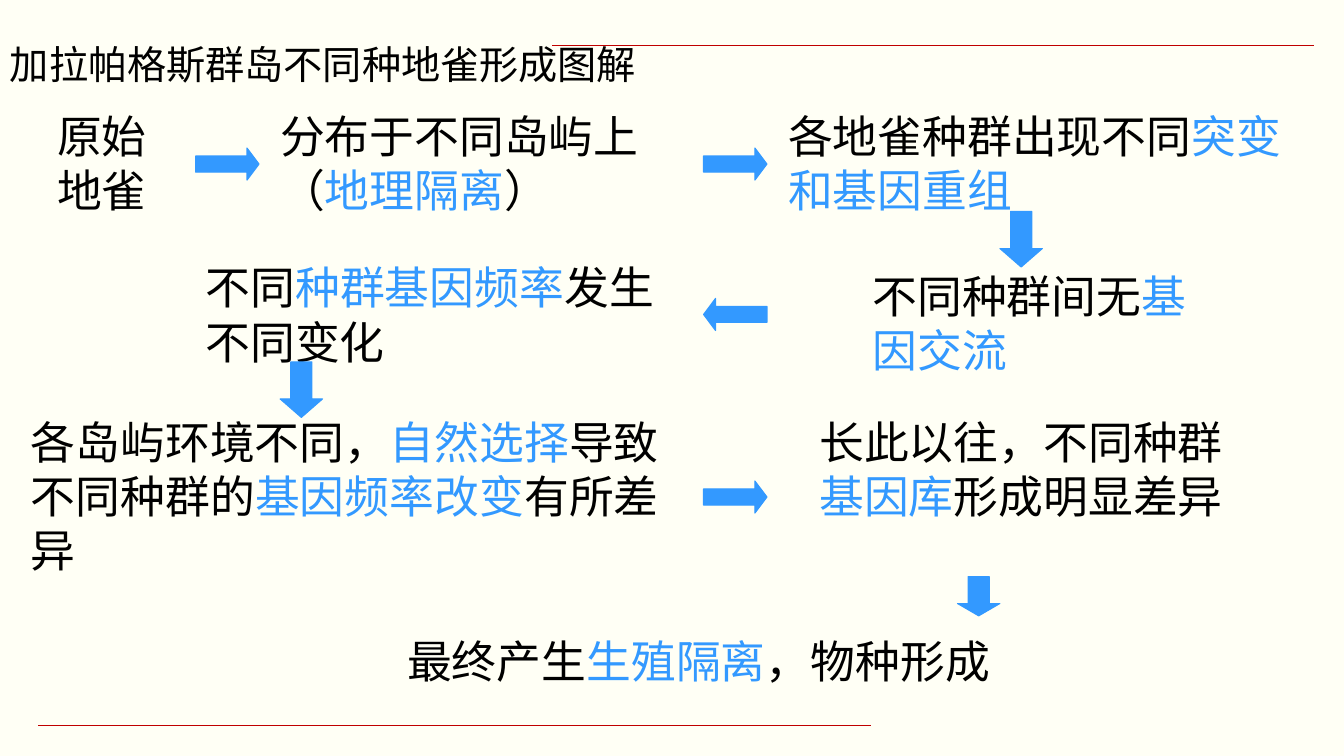
"""Flow chart slide on how the Galápagos ground finch species formed."""
from lxml.etree import SubElement
from pptx import Presentation
from pptx.dml.color import RGBColor
from pptx.enum.shapes import MSO_CONNECTOR, MSO_SHAPE
from pptx.oxml.ns import qn
from pptx.util import Cm, Pt

FONT = "Noto Sans CJK SC"
BLACK = RGBColor(0x00, 0x00, 0x00)
BLUE = RGBColor(0x33, 0x99, 0xFF)
RED = RGBColor(0xC0, 0x00, 0x00)
CREAM = RGBColor(0xFF, 0xFF, 0xF5)

TITLE = ("加拉帕格斯群岛不同种地雀形成图解",)
TITLE_BOX = (0, 0.91, 31.24, 1.96)

# Each stage: left, top, width, line count, then alternating plain and key wording.
STAGES = [
    (1.19, 2.51, 3.73, 2, ("原始地雀",)),
    (6.81, 2.51, 11.46, 2, ("分布于不同岛屿上（", "地理隔离", "）")),
    (19.61, 2.51, 13.34, 2, ("各地雀种群出现不同", "突变和基因重组")),
    (21.74, 6.53, 9.32, 2, ("不同种群间无", "基因交流")),
    (4.93, 6.32, 11.99, 2, ("不同", "种群基因频率", "发生不同变化")),
    (0.53, 10.21, 16.94, 3,
     ("各岛屿环境不同，", "自然选择", "导致不同种群的", "基因频率改变", "有所差异")),
    (20.4, 10.21, 10.95, 2, ("长此以往，不同种群", "基因库", "形成明显差异")),
    (10.01, 15.72, 21.06, 1, ("最终产生", "生殖隔离", "，物种形成")),
]

ACROSS = (1.6, 0.81, 0.375)
DOWN = (1.07, 1.4, 0.435)
SHORT_DOWN = (1.07, 0.99, 0.314)
ARROWS = [
    (MSO_SHAPE.RIGHT_ARROW, 4.93, 3.73, ACROSS),
    (MSO_SHAPE.RIGHT_ARROW, 17.73, 3.73, ACROSS),
    (MSO_SHAPE.DOWN_ARROW, 25.2, 5.33, DOWN),
    (MSO_SHAPE.LEFT_ARROW, 17.73, 7.52, ACROSS),
    (MSO_SHAPE.DOWN_ARROW, 7.06, 9.12, DOWN),
    (MSO_SHAPE.RIGHT_ARROW, 17.73, 12.12, ACROSS),
    (MSO_SHAPE.DOWN_ARROW, 24.13, 14.53, SHORT_DOWN),
]

RULES = [(13.92, 33.12, 1.14), (0.97, 21.95, 18.29)]


def add_wording(slide, box, parts, size, pitch):
    frame = slide.shapes.add_textbox(*map(Cm, box)).text_frame
    frame.word_wrap = True
    frame.margin_top = Cm(0.23)
    paragraph = frame.paragraphs[0]
    paragraph.line_spacing = Pt(pitch)
    font = paragraph.font
    font.size = Pt(size)
    font.color.rgb = BLACK
    font.name = FONT
    SubElement(font._rPr, qn("a:ea"), typeface=FONT)
    for index, part in enumerate(parts):
        run = paragraph.add_run()
        run.text = part
        if index % 2:
            run.font.color.rgb = BLUE


def add_arrow(slide, direction, left, top, form):
    width, height, head = form
    arrow = slide.shapes.add_shape(direction, Cm(left), Cm(top), Cm(width), Cm(height))
    arrow.shadow.inherit = False
    arrow.adjustments[0] = 0.5
    arrow.adjustments[1] = head
    arrow.fill.solid()
    arrow.fill.fore_color.rgb = BLUE
    arrow.line.color.rgb = BLUE
    arrow.line.width = Pt(0.75)


def add_rule(slide, start, end, y):
    rule = slide.shapes.add_connector(
        MSO_CONNECTOR.STRAIGHT, Cm(start), Cm(y), Cm(end), Cm(y))
    rule.line.color.rgb = RED
    rule.line.width = Pt(0.5)
    SubElement(rule._element.spPr, qn("a:effectLst"))


def main():
    deck = Presentation()
    deck.slide_width, deck.slide_height = Cm(33.87), Cm(19.05)
    slide = deck.slides.add_slide(deck.slide_layouts[6])
    slide.background.fill.solid()
    slide.background.fill.fore_color.rgb = CREAM

    for rule in RULES:
        add_rule(slide, *rule)
    add_wording(slide, TITLE_BOX, TITLE, 28, 30.2)
    for left, top, width, lines, parts in STAGES:
        height = 0.25 + 1.36 * lines
        add_wording(slide, (left, top, width, height), parts, 32, 38.6)
    for arrow in ARROWS:
        add_arrow(slide, *arrow)
    deck.save("out.pptx")


if __name__ == "__main__":
    main()
